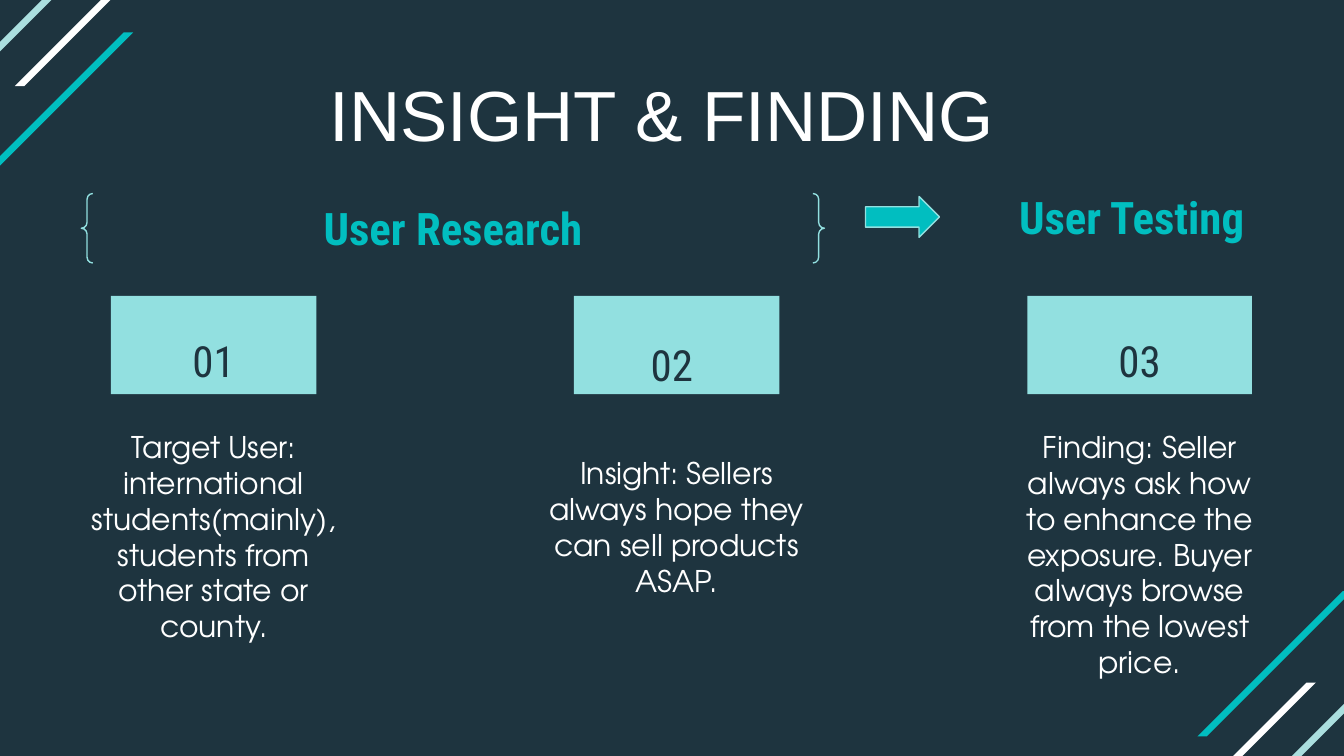
import pptx
import pptx.dml.color
import pptx.enum.shapes
import pptx.enum.text
import pptx.util

WIDE = pptx.util.Inches(10)
HIGH = WIDE * 9 // 16
HEX = {"navy": "1E343F", "teal": "01BEC0", "aqua": "92E0E0",
       "pale": "ABDFDF", "white": "FFFFFF"}
BODY, HEAD = "TeX Gyre Adventor", "Roboto Condensed"
KIND = pptx.enum.shapes.MSO_SHAPE
ANCHOR = pptx.enum.text.MSO_ANCHOR


def color(name):
    return pptx.dml.color.RGBColor.from_string(HEX[name])


def area(box):
    """Turn percents of the slide (left, top, width, height) into lengths."""
    return [round(part * side / 100)
            for part, side in zip(box, (WIDE, HIGH) * 2)]


def write(frame, text, font, size, hue, bold=False, anchor=ANCHOR.TOP,
          pads=(0.1, 0.1), after=0):
    """Fill a text frame with one centred run; pads are top and bottom."""
    frame.word_wrap = True
    frame.auto_size = pptx.enum.text.MSO_AUTO_SIZE.NONE
    frame.vertical_anchor = anchor
    frame.margin_left = frame.margin_right = pptx.util.Inches(0.1)
    frame.margin_top, frame.margin_bottom = map(pptx.util.Inches, pads)
    line = frame.paragraphs[0]
    line.alignment = pptx.enum.text.PP_ALIGN.CENTER
    line.space_before = pptx.util.Pt(0)
    line.space_after = pptx.util.Pt(after)
    run = line.add_run()
    run.text = text
    run.font.name, run.font.size = font, pptx.util.Pt(size)
    run.font.bold = bold
    run.font.color.rgb = color(hue)


def label(slide, box, *args, **style):
    write(slide.shapes.add_textbox(*area(box)).text_frame, *args, **style)


def paint(shape, fill=None, edge=None):
    shape.shadow.inherit = False
    if fill:
        shape.fill.solid()
        shape.fill.fore_color.rgb = color(fill)
    else:
        shape.fill.background()
    if edge:
        shape.line.color.rgb = color(edge)
        shape.line.width = pptx.util.Pt(0.75)
    else:
        shape.line.fill.background()


def stripe(slide, box, hue):
    """Draw a slanted band from the box's lower left to its upper right."""
    left, top, wide, high = area(box)
    thick = round(0.007 * WIDE)
    right, low = left + wide, top + high
    pen = slide.shapes.build_freeform(right - thick, top)
    pen.add_line_segments([(left, low), (left + thick, low), (right, top)])
    paint(pen.convert_to_shape(), hue)


def corners(slide):
    """Draw three stripes at the upper left and turn them to the lower right."""
    bands = [((-1.6, 4.3, 11.5, 19.2), "teal"),
             ((-3.9, -3.7, 9.8, 16.2), "pale"),
             ((1.1, -7.8, 11.5, 19.2), "white")]
    for (left, top, wide, high), hue in bands:
        stripe(slide, (left, top, wide, high), hue)
        turned = (99 - left - wide, 101.7 - top - high, wide, high)
        stripe(slide, turned, hue)


def title(slide, box, text):
    hold = slide.shapes.title
    hold.left, hold.top, hold.width, hold.height = area(box)
    write(hold.text_frame, text, "Arial", 38, "white")


def stage(slide, box, text):
    label(slide, box, text, HEAD, 24, "teal", bold=True)


def card(slide, box, num, text, note, shift=(0, 0), anchor=ANCHOR.TOP):
    """Place a numbered block with a note centred below it.

    note is the note's top, width and height; shift moves the number.
    """
    left, top, wide, high = box
    mid = left + wide / 2
    paint(slide.shapes.add_shape(KIND.RECTANGLE, *area(box)), "aqua")
    spot = (mid - 3.65 + shift[0], top + 3.7 + shift[1], 7.3, 6.2)
    label(slide, spot, num, HEAD, 23, "navy", anchor=ANCHOR.MIDDLE,
          pads=(0.2, 0), after=16)
    down, span, tall = note
    label(slide, (mid - span / 2, down, span, tall), text, BODY, 16, "white",
          anchor=anchor, after=16)


def main():
    deck = pptx.Presentation()
    deck.slide_width, deck.slide_height = WIDE, HIGH
    slide = deck.slides.add_slide(deck.slide_layouts[5])
    slide.background.fill.solid()
    slide.background.fill.fore_color.rgb = color("navy")

    corners(slide)
    title(slide, (7.8, 7.5, 84.4, 12.1), "INSIGHT & FINDING ")

    row, tall = 39.15, 13
    side = (54.95, 21.1, 18.7)
    card(slide, (8.25, row, 15.3, tall), "01",
         "Target User: international students(mainly), students from "
         "other state or county.", side)
    card(slide, (42.7, row, 15.3, tall), "02",
         "Insight: Sellers always hope they can sell products ASAP.",
         (59.6, 22.7, 20.1), (-0.35, 0.5), ANCHOR.MIDDLE)
    card(slide, (76.45, row, 16.7, tall), "03",
         "Finding: Seller always ask how to enhance the exposure. "
         "Buyer always browse from the lowest price.", side)

    arrow = slide.shapes.add_shape(
        KIND.RIGHT_ARROW, *area((64.4, 26, 5.5, 5.4)))
    paint(arrow, "teal", "aqua")
    stage(slide, (6.75, 24.75, 53.9, 10.85), "User Research")
    stage(slide, (67.8, 23.3, 32.8, 10.85), "User Testing")
    brace = slide.shapes.add_shape(
        KIND.DOUBLE_BRACE, *area((6.05, 25.6, 55.3, 9.2)))
    paint(brace, edge="aqua")

    deck.save("out.pptx")


if __name__ == "__main__":
    main()
